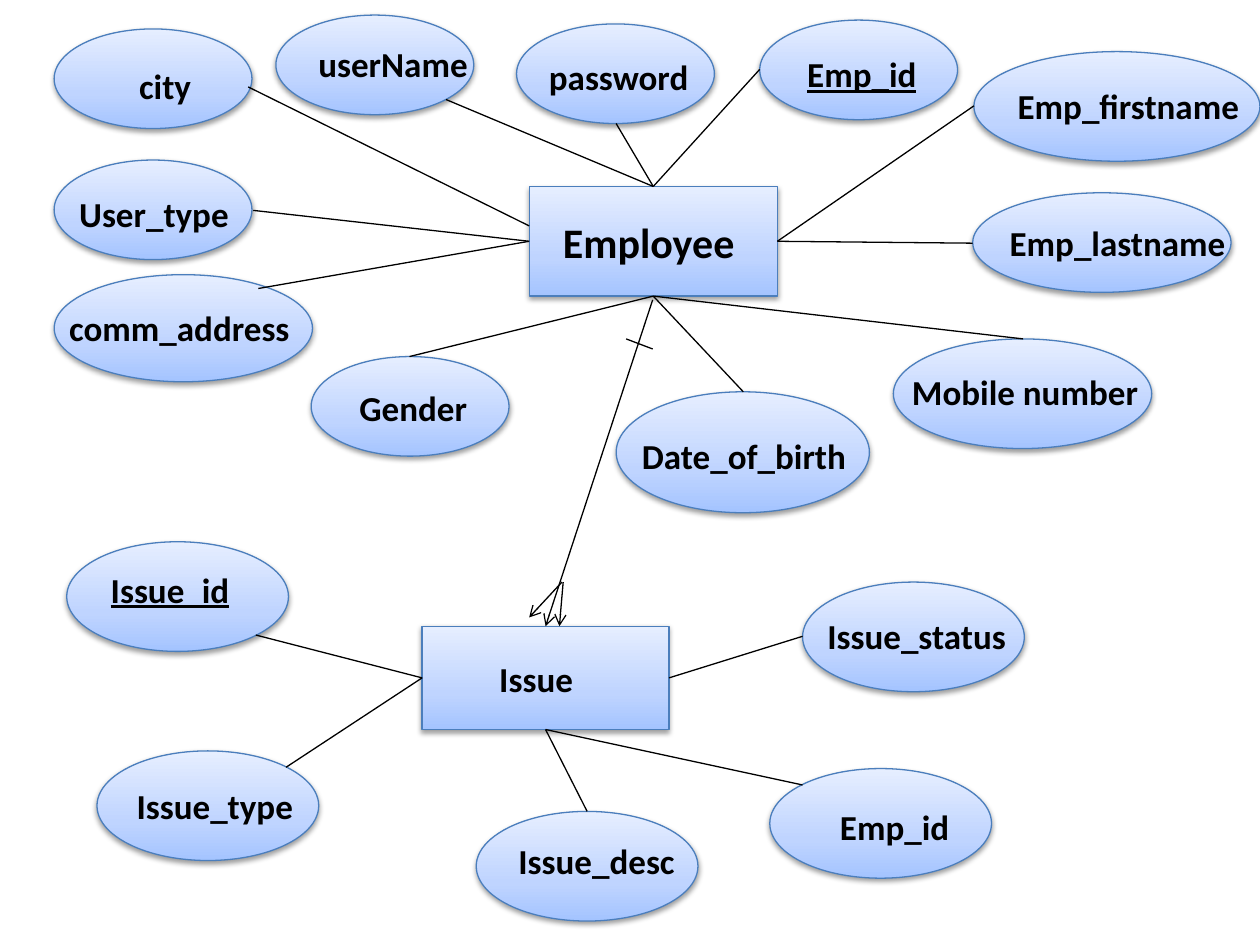
from collections import namedtuple

from lxml.etree import SubElement
from pptx import Presentation
from pptx.dml.color import RGBColor
from pptx.enum.shapes import MSO_CONNECTOR as Connector, MSO_SHAPE as Shape
from pptx.enum.text import MSO_AUTO_SIZE as AutoSize, PP_ALIGN as Align
from pptx.oxml import parse_xml
from pptx.oxml.ns import nsdecls, qn
from pptx.util import Inches, Pt

COLORS = {"dark": "A4C4FF", "middle": "BFD4FF", "light": "E6EEFF",
          "outline": "4B7EBC", "ink": "000000"}
STOPS = [(0, "dark"), (35, "middle"), (100, "light")]
# Points on an entity's edge, as fractions of its width and height
SIDES = {"top": (0.5, 0), "bottom": (0.5, 1), "left": (0, 0.5),
         "right": (1, 0.5), "upper left": (0, 0.36)}
SMALL, WIDE, ISSUE = (1.57, 0.79), (2.05, 0.87), (1.76, 0.87)

# Label is (dx, dy, width) and touch is (dx, dy), both from the oval's corner
Attribute = namedtuple("Attribute", "name corner size label side touch style",
                       defaults=[{}])
KEY, LEFT = {"underline": True}, {"align": Align.LEFT}

EMPLOYEE_ATTRIBUTES = [
    Attribute("city", (0.43, 0.23), SMALL, (0.32, 0.23, 1.12), "upper left", (1.54, 0.46)),
    Attribute("userName", (2.19, 0.12), SMALL, (0.18, 0.17, 1.5), "top", (1.35, 0.67)),
    Attribute("password", (4.1, 0.19), SMALL, (0.1, 0.2, 1.42), "top", (0.79, 0.79)),
    Attribute("Emp_id", (6.03, 0.16), SMALL, (0.2, 0.21, 1.22), "top", (0, 0.39), KEY),
    Attribute("Emp_firstname", (7.73, 0.41), (2.27, 0.87), (0.2, 0.21, 2.05), "right", (0, 0.43)),
    Attribute("Emp_lastname", (7.72, 1.53), (2.05, 0.79), (0.14, 0.18, 2.02), "right", (0, 0.4)),
    Attribute("Mobile number", (7.09, 2.69), WIDE, (0, 0.2, 2.09), "bottom", (1.03, 0)),
    Attribute("Date_of_birth", (4.89, 3.11), (2.01, 0.96), (0.04, 0.29, 1.95), "bottom", (1.01, 0)),
    Attribute("Gender", (2.47, 2.83), SMALL, (0.26, 0.19, 1.1), "bottom", (0.78, 0)),
    Attribute("comm_address", (0.43, 2.18), (2.05, 0.85), (0.02, 0.2, 2.02), "left", (1.62, 0.11), LEFT),
    Attribute("User_type", (0.43, 1.27), SMALL, (0.1, 0.21, 1.41), "left", (1.58, 0.4), LEFT),
]
ISSUE_ATTRIBUTES = [
    Attribute("Issue_id", (0.53, 0), ISSUE, (0.22, 0.16, 1.2), "left", (1.5, 0.74), KEY),
    Attribute("Issue_type", (0.77, 1.66), ISSUE, (0.11, 0.22, 1.65), "left", (1.5, 0.13)),
    Attribute("Issue_desc", (3.78, 2.14), ISSUE, (0.15, 0.17, 1.61), "bottom", (0.88, 0)),
    Attribute("Emp_id", (6.11, 1.8), ISSUE, (0.28, 0.24, 1.42), "bottom", (0.26, 0.13)),
    Attribute("Issue_status", (6.37, 0.32), ISSUE, (0.02, 0.21, 1.77), "right", (0, 0.43)),
]


def color(name):
    """Return a named colour."""
    return RGBColor.from_string(COLORS[name])


def shift(origin, offset):
    """Return the point at an offset from an origin."""
    return origin[0] + offset[0], origin[1] + offset[1]


def add_node(page, kind, corner, size):
    """Add a shaded, outlined shape with a soft shadow below it."""
    node = page.shapes.add_shape(kind, *map(Inches, (*corner, *size)))
    node.fill.gradient()
    node.fill.gradient_angle = 90
    stops = node._element.spPr.find(".//" + qn("a:gsLst"))
    for stop in list(stops):
        stops.remove(stop)
    for percent, name in STOPS:
        stop = SubElement(stops, qn("a:gs"), pos=str(percent * 1000))
        SubElement(stop, qn("a:srgbClr"), val=COLORS[name])
    node.line.color.rgb = color("outline")
    node.line.width = Pt(0.75)
    node._element.spPr.append(parse_xml(
        f'<a:effectLst {nsdecls("a")}><a:outerShdw blurRad="{Pt(3.1)}" '
        f'dist="{Pt(1.6)}" dir="5400000" rotWithShape="0">'
        f'<a:srgbClr val="{COLORS["ink"]}"><a:alpha val="38000"/></a:srgbClr>'
        '</a:outerShdw></a:effectLst>'))


def add_label(page, text, corner, width, points=20, align=Align.CENTER, underline=None):
    """Add a bold label in its own text box."""
    box = page.shapes.add_textbox(*map(Inches, (*corner, width, points * 0.022)))
    frame = box.text_frame
    frame.word_wrap = True
    frame.auto_size = AutoSize.SHAPE_TO_FIT_TEXT
    para = frame.paragraphs[0]
    para.alignment = align
    span = para.add_run()
    span.text = text
    formats = {"name": "Calibri", "size": Pt(points), "bold": True, "underline": underline}
    for key, value in formats.items():
        setattr(span.font, key, value)
    span.font.color.rgb = color("ink")


def add_line(page, start, end, arrow=False):
    """Add a thin line, with an open arrowhead at its end if asked."""
    line = page.shapes.add_connector(Connector.STRAIGHT, *map(Inches, (*start, *end)))
    line.line.color.rgb = color("ink")
    line.line.width = Pt(0.75)
    properties = line._element.spPr
    if arrow:
        SubElement(properties.find(qn("a:ln")), qn("a:tailEnd"), type="arrow")
    SubElement(properties, qn("a:effectLst"))


def draw_entity(page, origin, name, corner, size, label, attributes, **style):
    """Draw an entity and its linked attributes, all placed from the origin."""
    entity = shift(origin, corner)
    add_node(page, Shape.RECTANGLE, entity, size)
    add_label(page, name, shift(entity, label), label[2], **style)
    for item in attributes:
        oval = shift(origin, item.corner)
        add_node(page, Shape.OVAL, oval, item.size)
        add_label(page, item.name, shift(oval, item.label), item.label[2], **item.style)
    for item in attributes:
        across, down = SIDES[item.side]
        start = shift(entity, (across * size[0], down * size[1]))
        add_line(page, start, shift(shift(origin, item.corner), item.touch))


def draw_relation(page, origin):
    """Draw the one-to-many link, placed from its upper end."""
    for start, end in [((0, 0), (-0.85, 2.59)),
                       ((-0.71, 2.24), (-0.74, 2.59)),
                       ((-0.72, 2.24), (-0.98, 2.52))]:
        add_line(page, shift(origin, start), shift(origin, end), arrow=True)
    add_line(page, shift(origin, (-0.21, 0.31)), shift(origin, (0, 0.39)))


deck = Presentation()
deck.slide_width, deck.slide_height = Inches(10), Inches(7.5)
page = deck.slides.add_slide(deck.slide_layouts[6])
draw_entity(page, (0, 0), "Employee", (4.2, 1.48), (1.97, 0.87),
            (0.17, 0.19, 1.6), EMPLOYEE_ATTRIBUTES, points=24, align=Align.LEFT)
draw_entity(page, (0, 4.3), "Issue", (3.35, 0.67), (1.96, 0.82),
            (0, 0.2, 1.81), ISSUE_ATTRIBUTES)
draw_relation(page, (5.18, 2.38))
deck.save("out.pptx")
